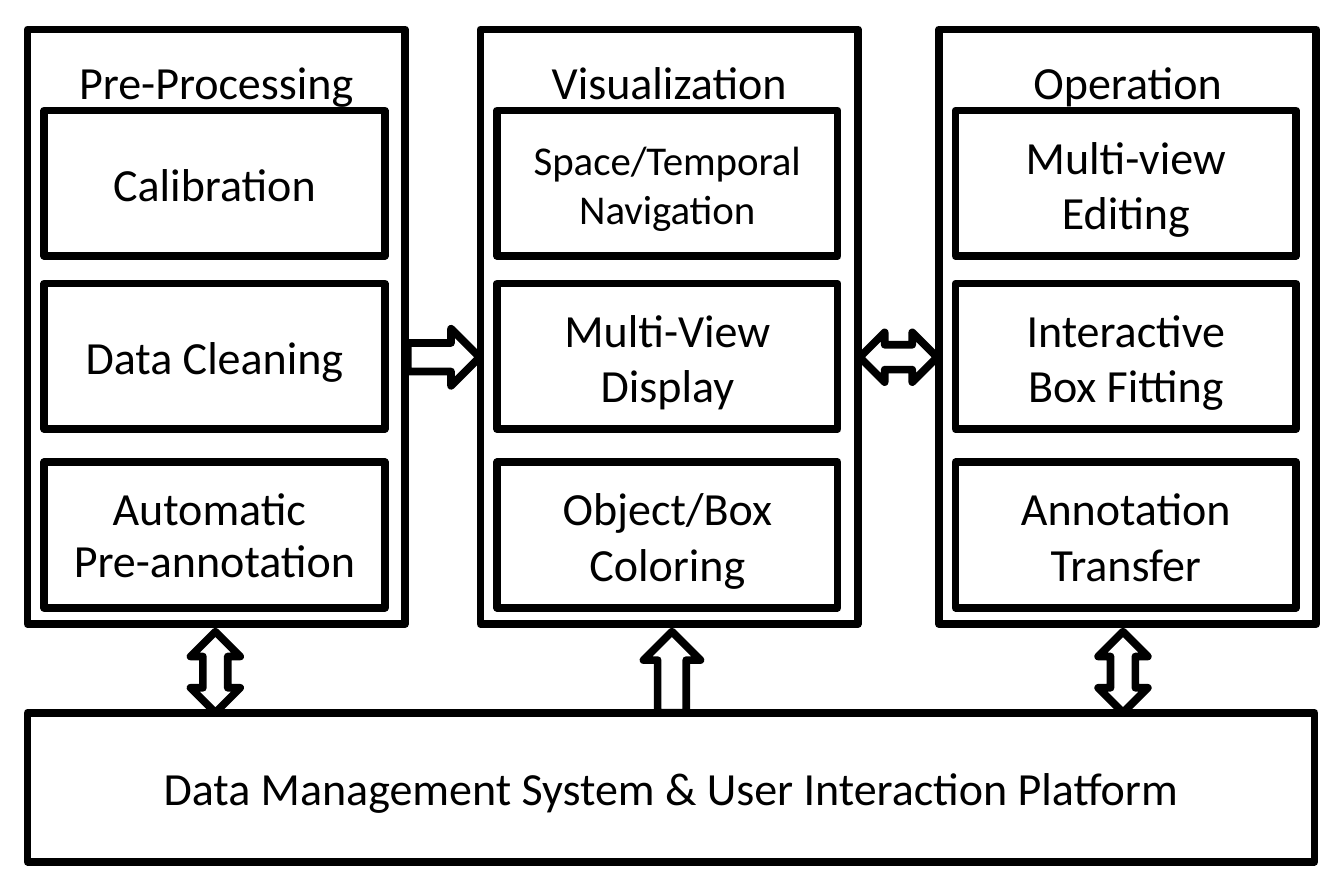
import pptx
import pptx.util
import pptx.dml.color
import pptx.enum.shapes
import pptx.enum.text

Inches, Pt = pptx.util.Inches, pptx.util.Pt
SHAPE = pptx.enum.shapes.MSO_SHAPE
ANCHOR = pptx.enum.text.MSO_ANCHOR
BLACK = pptx.dml.color.RGBColor(0, 0, 0)
WHITE = pptx.dml.color.RGBColor(255, 255, 255)
FONT = "Calibri"

# Content: panel left, title, steps as (paragraphs, text size, line spacing)
PANELS = [
    (0.15, "Pre-Processing", [
        (["Calibration"], 18, None),
        (["Data Cleaning"], 18, None),
        (["Automatic ", "Pre-annotation"], 18, 20)]),
    (2.61, "Visualization", [
        (["Space/Temporal", "Navigation"], 16, None),
        (["Multi-View Display"], 18, None),
        (["Object/Box Coloring"], 18, None)]),
    (5.1, "Operation", [
        (["Multi-view Editing"], 18, None),
        (["Interactive", "Box Fitting"], 18, None),
        (["Annotation", "Transfer"], 18, None)]),
]
PLATFORM = "Data Management System & User Interaction Platform"

# Layout in inches
PANEL_TOP, PANEL_W, PANEL_H = 0.16, 2.05, 3.23
STEP_TOPS, STEP_INDENT, STEP_W, STEP_H = (0.6, 1.54, 2.51), 0.09, 1.85, 0.79
PLATFORM_TOP, PLATFORM_W, PLATFORM_H = 3.87, 6.99, 0.81

# Arrows: shape, centre x, centre y, width, height
ARROWS = [
    (SHAPE.UP_DOWN_ARROW, 1.17, 3.65, 0.27, 0.44),
    (SHAPE.UP_ARROW, 3.65, 3.65, 0.31, 0.44),
    (SHAPE.UP_DOWN_ARROW, 6.1, 3.65, 0.27, 0.44),
    (SHAPE.RIGHT_ARROW, 2.41, 1.94, 0.39, 0.31),
    (SHAPE.LEFT_RIGHT_ARROW, 4.88, 1.94, 0.42, 0.27),
]

prs = pptx.Presentation()
prs.slide_width, prs.slide_height = Inches(7.3), Inches(4.8)
slide = prs.slides.add_slide(prs.slide_layouts[6])


def add_outlined(kind, left, top, width, height):
    s = slide.shapes.add_shape(kind, Inches(left), Inches(top), Inches(width), Inches(height))
    s.shadow.inherit = False
    s.fill.solid()
    s.fill.fore_color.rgb = WHITE
    s.line.color.rgb = BLACK
    s.line.width = Pt(3)
    return s


def add_box(left, top, width, height, lines, size=18, spacing=None, anchor=ANCHOR.MIDDLE):
    tf = add_outlined(SHAPE.RECTANGLE, left, top, width, height).text_frame
    tf.word_wrap = True
    tf.vertical_anchor = anchor
    for i, text in enumerate(lines):
        p = tf.add_paragraph() if i else tf.paragraphs[0]
        p.alignment = pptx.enum.text.PP_ALIGN.CENTER
        if spacing:
            p.line_spacing = Pt(spacing)
        r = p.add_run()
        r.text = text
        r.font.name = FONT
        r.font.size = Pt(size)
        r.font.color.rgb = BLACK
    return tf


# Panels with their steps
for left, title, steps in PANELS:
    tf = add_box(left, PANEL_TOP, PANEL_W, PANEL_H, [title], anchor=ANCHOR.TOP)
    tf.margin_top = Inches(0.13)
    for top, (lines, size, spacing) in zip(STEP_TOPS, steps):
        add_box(left + STEP_INDENT, top, STEP_W, STEP_H, lines, size, spacing)

# Platform bar
add_box(PANELS[0][0], PLATFORM_TOP, PLATFORM_W, PLATFORM_H, [PLATFORM])

# Arrows between the parts
for kind, x, y, width, height in ARROWS:
    add_outlined(kind, x - width / 2, y - height / 2, width, height)

prs.save("out.pptx")
